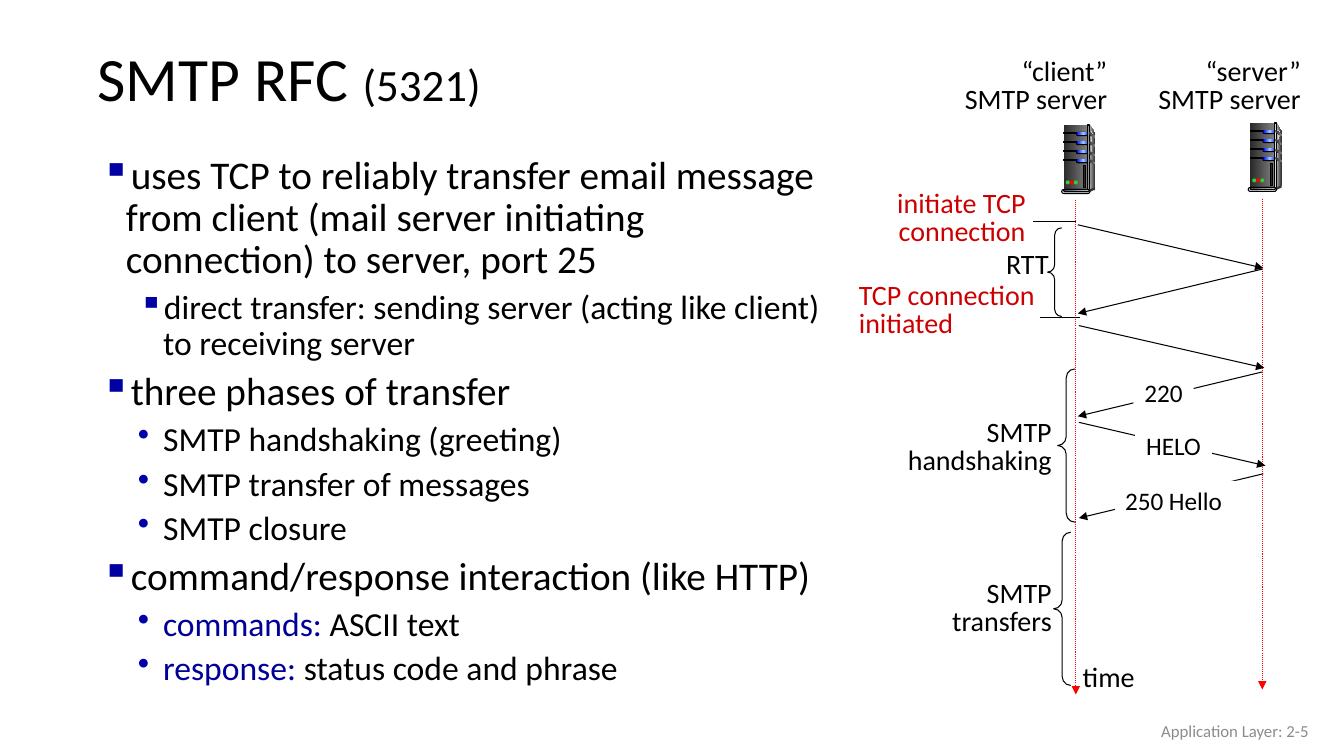
from copy import deepcopy
from lxml import etree
from pptx import Presentation, util as u
from pptx.dml.color import RGBColor
from pptx.enum import dml, shapes, text
from pptx.oxml.ns import qn

BLACK = RGBColor(0, 0, 0)
WHITE = RGBColor(255, 255, 255)
RED = RGBColor(255, 0, 0)
BRICK = RGBColor(0xCC, 0, 0)
NAVY = RGBColor(0, 0, 0x99)
GRAY = RGBColor(0x8C, 0x8C, 0x8C)
COAL = RGBColor(0x29, 0x29, 0x29)
DARK = RGBColor(0x33, 0x33, 0x33)
STEEL = RGBColor(0x80, 0x80, 0x80)
PALE = RGBColor(0xDD, 0xDD, 0xDD)
SNOW = RGBColor(0xF8, 0xF8, 0xF8)
BLUE = RGBColor(0, 0, 255)
SKY = RGBColor(0x99, 0xCC, 0xFF)
GREEN = RGBColor(0x33, 0xCC, 0x33)
SLATE = RGBColor(0x44, 0x54, 0x6A)
MIST = RGBColor(0xE7, 0xE6, 0xE6)

KIND = shapes.MSO_SHAPE
LEFT, MID, RIGHT = (text.PP_ALIGN.LEFT, text.PP_ALIGN.CENTER,
                    text.PP_ALIGN.RIGHT)

# The slide is a grid of 1333 columns by 750 rows
CELL = u.Inches(0.01)
deck = Presentation()
deck.slide_width, deck.slide_height = 1333 * CELL, 750 * CELL
slide = deck.slides.add_slide(deck.slide_layouts[6])
tree = slide.shapes


def paint(shape, fill=(), edge=False):
    """Fill with no colour, one colour, or a gradient of two or three."""
    shape.shadow.inherit = False
    if not fill:
        shape.fill.background()
    elif len(fill) == 1:
        shape.fill.solid()
        shape.fill.fore_color.rgb = fill[0]
    else:
        shape.fill.gradient()
        shape.fill.gradient_angle = 0
        stops = shape.element.spPr.find(".//" + qn("a:gsLst"))
        if len(fill) == 3:
            stops.insert(1, deepcopy(stops[0]))
        for i, stop in enumerate(shape.fill.gradient_stops):
            stop.position = i / (len(fill) - 1)
            stop.color.rgb = fill[i]
    if edge:
        shape.line.color.rgb = BLACK
        shape.line.width = u.Pt(0.75)
    else:
        shape.line.fill.background()


def write(place, paras, size=20, ink=BLACK, side=LEFT, space=0.85,
          wrap=True, fill=None, anchor=text.MSO_ANCHOR.TOP):
    """Each paragraph is a string or a list of (text, size, colour) runs."""
    box = [n * CELL for n in place]
    if fill:
        shape = tree.add_shape(KIND.RECTANGLE, *box)
        paint(shape, [fill])
    else:
        shape = tree.add_textbox(*box)
    frame = shape.text_frame
    frame.word_wrap = wrap
    frame.vertical_anchor = anchor
    for i, para in enumerate(paras):
        p = frame.add_paragraph() if i else frame.paragraphs[0]
        p.alignment = side
        p.line_spacing = space
        runs = [(para, size, ink)] if isinstance(para, str) else para
        for words, pts, tint in runs:
            run = p.add_run()
            run.text = words
            run.font.name = "Calibri"
            run.font.size = u.Pt(pts)
            run.font.color.rgb = tint
    return frame


# Title and bullets
write((87, 32, 900, 98), [[("SMTP RFC ", 44, BLACK), ("(5321)", 32, BLACK)]],
      space=0.9, anchor=text.MSO_ANCHOR.MIDDLE)
points = [
    (0, "▪", "", "uses TCP to reliably transfer email message from client "
     "(mail server initiating connection) to server, port 25"),
    (1, "▪", "", "direct transfer: sending server (acting like client) "
     "to receiving server"),
    (0, "▪", "", "three phases of transfer"),
    (1, "•", "", "SMTP handshaking (greeting)"),
    (1, "•", "", "SMTP transfer of messages"),
    (1, "•", "", "SMTP closure"),
    (0, "▪", "", "command/response interaction (like HTTP)"),
    (1, "•", "commands:", " ASCII text"),
    (1, "•", "response:", " status code and phrase"),
]
paras = [[(words, 28 - 4 * level, tint)
          for words, tint in ((lead, NAVY), (rest, BLACK)) if words]
         for level, dot, lead, rest in points]
body = write((76, 149, 753, 508), paras, space=0.9)
for i, (p, (level, dot, lead, rest)) in enumerate(zip(body.paragraphs, points)):
    p.level = level
    if i:
        p.space_before = u.Pt(6)
    props = p._p.get_or_add_pPr()
    props.set("marL", str((39 + 37 * level) * CELL))
    props.set("indent", str((-24 if dot == "▪" else -25) * CELL))
    tint = etree.SubElement(props, qn("a:buClr"))
    etree.SubElement(tint, qn("a:srgbClr")).set(
        "val", "0000A3" if dot == "▪" else "0000A8")
    etree.SubElement(props, qn("a:buChar")).set("char", dot)

# Time axes, messages and ticks: ends, colour, arrow
lines = [
    (1067, 198, 1067, 689, RED, True), (1252, 197, 1252, 684, RED, True),
    (1069, 223, 1253, 266, BLACK, True), (1252, 267, 1069, 311, BLACK, True),
    (1070, 323, 1254, 365, BLACK, True), (1252, 369, 1069, 413, BLACK, True),
    (1070, 419, 1255, 462, BLACK, True), (1253, 470, 1070, 514, BLACK, True),
    (1025, 220, 1067, 220, BLACK, False), (1032, 315, 1071, 315, BLACK, False),
]
for *ends, tint, arrow in lines:
    wire = tree.add_connector(shapes.MSO_CONNECTOR.STRAIGHT,
                              *[n * CELL for n in ends])
    wire.line.color.rgb = tint
    wire.line.width = u.Pt(0.75)
    if tint == RED:
        wire.line.dash_style = dml.MSO_LINE.ROUND_DOT
    props = wire.element.spPr
    if arrow:
        etree.SubElement(props.find(qn("a:ln")), qn("a:tailEnd")).set(
            "type", "triangle")
    etree.SubElement(props, qn("a:effectLst"))

# Server towers, drawn from the top left corner of each
BOX, PILL, DISC = KIND.RECTANGLE, KIND.ROUNDED_RECTANGLE, KIND.OVAL
parts = [
    ([(28, 0), (33, 8), (33, 62), (26, 65)], None, (PALE, DARK), False),
    (BOX, (2, 0, 24, 65), (COAL, STEEL), False),
    ([(28, 4), (31, 9), (29, 30), (28, 63)], None, (STEEL, SNOW), False),
]
for row in (7, 16, 25, 34):
    parts += [
        (BOX, (2, row, 14, 1), (BLACK,), True),
        (PILL, (14, row, 14, 4), (BLACK,), False),
        (PILL, (15, row, 13, 3), (BLUE, SKY, BLUE), False),
    ]
parts.append((BOX, (26, 0, 2, 65), (DARK, PALE, DARK), True))
for row, drop in ((7, 4), (16, 4), (26, 3), (34, 3)):
    fin = [(27, row), (33, row + drop), (33, row + drop + 2), (27, row + 2)]
    parts.append((fin, None, (COAL, STEEL), False))
parts += [
    (DISC, (32, 62, 1, 3), (DARK,), False),
    ([(27, 64), (27, 67), (33, 64), (33, 62)], None, (DARK,), False),
    (PILL, (0, 64, 28, 4), (PALE,), True),
    (PILL, (2, 64, 25, 2), (SLATE, MIST), True),
    (DISC, (4, 55, 4, 4), (GREEN,), False),
    (DISC, (8, 55, 4, 4), (RED,), False),
    (DISC, (12, 55, 4, 4), (GREEN,), False),
    (BOX, (22, 40, 2, 22), (COAL,), True),
]
for left, top in ((1238, 122), (1053, 124)):
    for kind, place, fill, edge in parts:
        if place:
            x, y, w, h = place
            part = tree.add_shape(kind, (left + x) * CELL, (top + y) * CELL,
                                  w * CELL, h * CELL)
            if kind == PILL:
                part.adjustments[0] = 0.5
        else:
            dots = [(left + x, top + y) for x, y in kind]
            pen = tree.build_freeform(*dots[0], scale=CELL)
            pen.add_line_segments(dots[1:], close=True)
            part = pen.convert_to_shape()
        paint(part, fill, edge)

# Braces
for place in ((1039, 226, 14, 88), (1049, 366, 17, 152), (1045, 528, 17, 152)):
    brace = tree.add_shape(KIND.LEFT_BRACE, *[n * CELL for n in place])
    brace.adjustments[0] = 0.521
    paint(brace, edge=True)

# Labels
for place, words, side in (
        ((1124, 369, 60, 40), "220", MID),
        ((1106, 477, 123, 40), "250 Hello", LEFT),
        ((1126, 422, 76, 40), "HELO", MID)):
    write(place, [words], size=18, side=side, space=1.0, fill=WHITE)
write((878, 184, 149, 68), ["initiate TCP", "connection"], ink=BRICK, side=RIGHT)
write((842, 275, 240, 68), ["TCP connection", "initiated"], ink=BRICK)
write((988, 245, 63, 39), ["RTT"], wrap=False)
write((1064, 654, 73, 39), ["time"], wrap=False)
for left, role in ((939, "“client”"), (1131, "“server”")):
    write((left, 53, 169, 68), [role, "SMTP server"], side=RIGHT)
for top, words in ((411, "SMTP handshaking"), (571, "SMTP transfers")):
    write((871, top, 182, 68), [words], side=RIGHT)
write((1008, 705, 300, 40), ["Application Layer: 2-5"], size=12, ink=GRAY,
      side=RIGHT, space=1.0, anchor=text.MSO_ANCHOR.MIDDLE)

deck.save("out.pptx")
